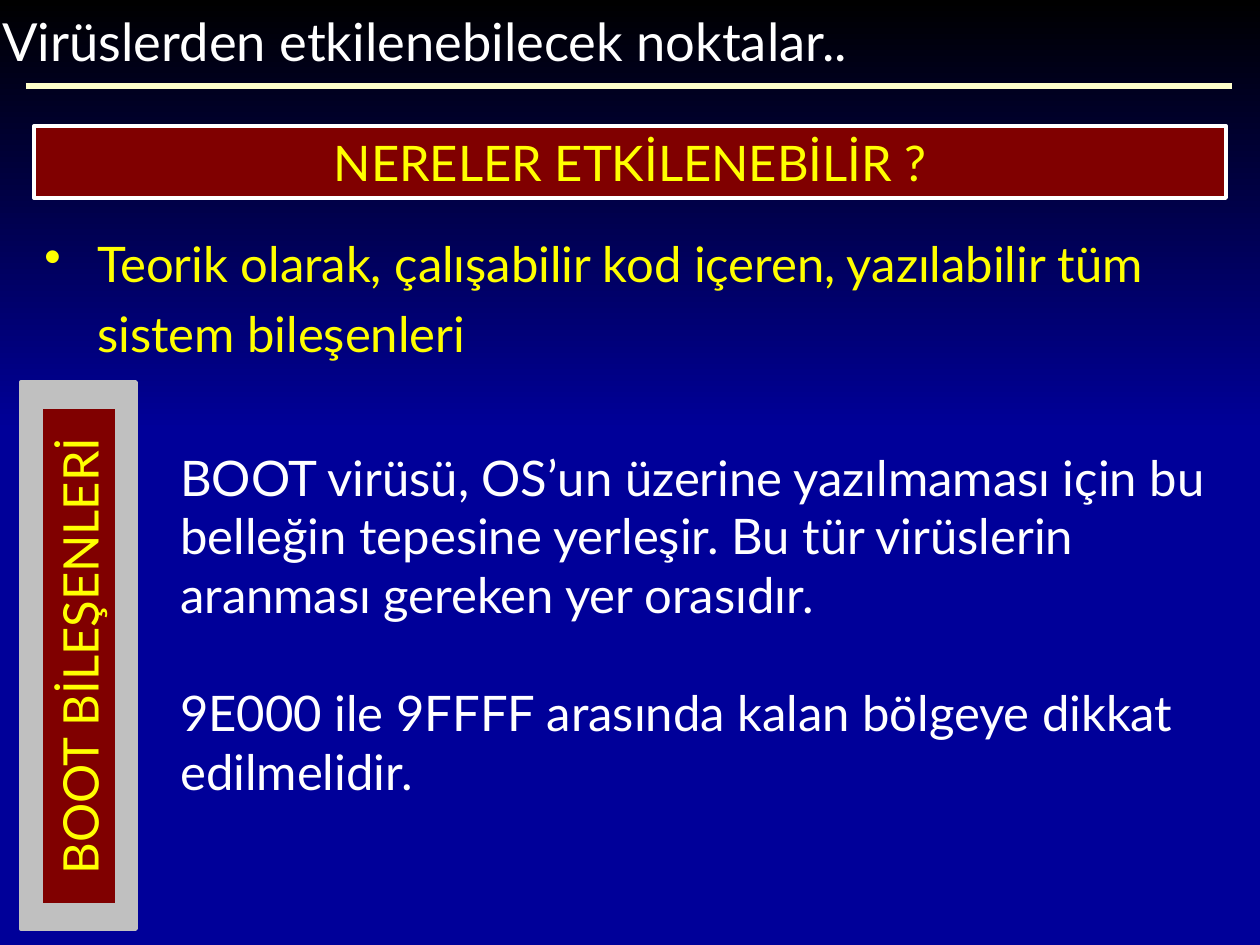
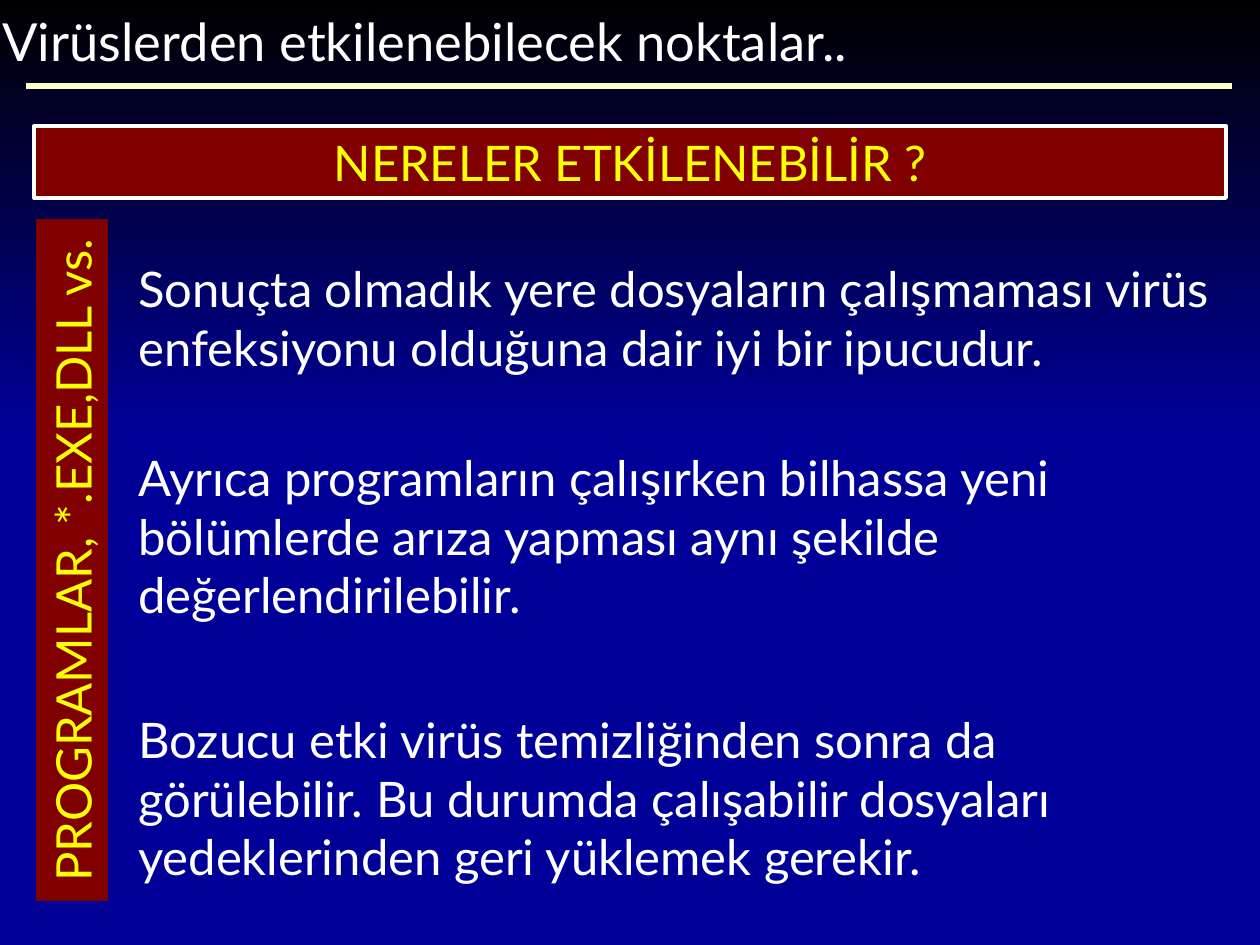
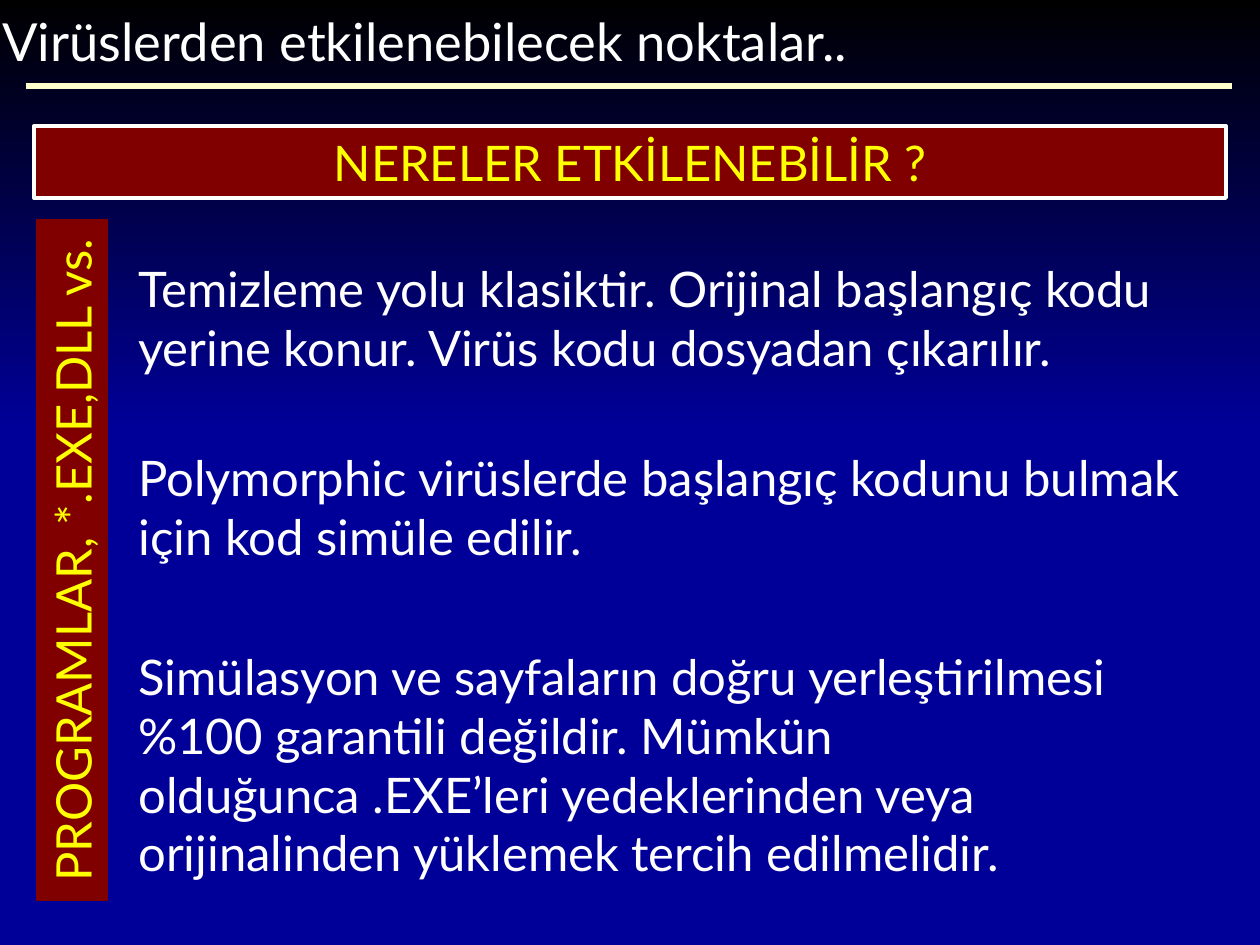
"""Build three slides on the parts of a system that viruses can reach."""
from dataclasses import dataclass
from lxml.etree import SubElement
from pptx import Presentation
from pptx.dml.color import RGBColor as Rgb
from pptx.enum.shapes import MSO_CONNECTOR as Link, MSO_SHAPE as Form
from pptx.enum.text import MSO_ANCHOR as Anchor, PP_ALIGN as Align
from pptx.oxml.ns import qn
from pptx.util import Pt

SCALE = 914400 / 126
WIDE, HIGH = 1260, 945


def px(num):
    return round(num * SCALE)


@dataclass(frozen=True)
class Theme:
    font: str = "Lato"
    back: str = "000099"
    dark: str = "000000"
    rule: str = "FFFFCC"
    red: str = "800000"
    gray: str = "C0C0C0"
    white: str = "FFFFFF"
    yellow: str = "FFFF00"
    head: int = 30
    body: int = 28
    edge: float = 2.25
    thick: int = 3


class Deck:
    def __init__(self, theme):
        self.theme = theme
        self.show = Presentation()
        self.show.slide_width, self.show.slide_height = px(WIDE), px(HIGH)
        self.slide = None

    def page(self):
        look = self.theme
        self.slide = self.show.slides.add_slide(self.show.slide_layouts[6])
        fill = self.slide.background.fill
        fill.solid()
        fill.fore_color.rgb = Rgb.from_string(look.back)
        self.fade(0, 0, WIDE, 431)
        self.rule(26, 1232, 86)
        self.text(-10, 3, 936, 76, ["Virüslerden etkilenebilecek noktalar.."], size=look.head)
        band = self.box(34, 126, 1192, 72, look.red, look.white)
        self.label(band, "NERELER ETKİLENEBİLİR ?")

    def box(self, x, y, w, h, fill=None, edge=None):
        shape = self.slide.shapes.add_shape(Form.RECTANGLE, px(x), px(y), px(w), px(h))
        shape.shadow.inherit = False
        if fill:
            shape.fill.solid()
            shape.fill.fore_color.rgb = Rgb.from_string(fill)
        if edge:
            shape.line.color.rgb = Rgb.from_string(edge)
            shape.line.width = Pt(self.theme.edge)
        else:
            shape.line.fill.background()
        return shape

    def fade(self, x, y, w, h):
        fill = self.box(x, y, w, h).fill
        fill.gradient()
        fill.gradient_angle = 270
        for stop, tone in zip(fill.gradient_stops, (self.theme.dark, self.theme.back)):
            stop.color.rgb = Rgb.from_string(tone)

    def rule(self, left, right, y):
        line = self.slide.shapes.add_connector(Link.STRAIGHT, px(left), px(y), px(right), px(y))
        line.line.color.rgb = Rgb.from_string(self.theme.rule)
        line.line.width = Pt(self.theme.thick)
        SubElement(line._element.spPr, qn("a:effectLst"))

    def style(self, para, tone, size):
        for run in para.runs:
            run.font.name = self.theme.font
            run.font.size = Pt(size)
            run.font.color.rgb = Rgb.from_string(tone)

    def label(self, shape, words):
        frame = shape.text_frame
        frame.text = words
        frame.word_wrap = True
        frame.vertical_anchor = Anchor.MIDDLE
        para = frame.paragraphs[0]
        para.alignment = Align.CENTER
        self.style(para, self.theme.yellow, self.theme.body)

    def side(self, x, y, w, h, words):
        shift = (h - w) / 2
        bar = self.box(x - shift, y + shift, h, w, self.theme.red)
        bar.rotation = 270
        self.label(bar, words)

    def text(self, x, y, w, h, lines, tone=None, size=None, gap=0):
        frame = self.slide.shapes.add_textbox(px(x), px(y), px(w), px(h)).text_frame
        frame.word_wrap = True
        frame.vertical_anchor = Anchor.MIDDLE
        frame.text = "\n".join(lines)
        for rank, para in enumerate(frame.paragraphs):
            if rank:
                para.space_before = Pt(gap)
            self.style(para, tone or self.theme.white, size or self.theme.body)
        return frame

    def bullet(self, x, y, w, h, words):
        tone = self.theme.yellow
        para = self.text(x, y, w, h, [words], tone).paragraphs[0]
        para.line_spacing = 1.2
        para.space_after = Pt(19.2)
        props = para._p.get_or_add_pPr()
        props.set("marL", str(px(53)))
        props.set("indent", str(px(-53)))
        SubElement(SubElement(props, qn("a:buClr")), qn("a:srgbClr"), val=tone)
        SubElement(props, qn("a:buChar"), char="•")


BOOT = (
    "BOOT virüsü, OS’un üzerine yazılmaması için bu belleğin tepesine yerleşir. "
    "Bu tür virüslerin aranması gereken yer orasıdır.",
    "9E000 ile 9FFFF arasında kalan bölgeye dikkat edilmelidir.",
)
FILES = (
    (
        (441, 189, "Ayrıca programların çalışırken bilhassa yeni bölümlerde arıza "
                   "yapması aynı şekilde değerlendirilebilir."),
        (223, 189, "Sonuçta olmadık yere dosyaların çalışmaması virüs enfeksiyonu "
                   "olduğuna dair iyi bir ipucudur."),
        (703, 189, "Bozucu etki virüs temizliğinden sonra da görülebilir. Bu durumda "
                   "çalışabilir dosyaları yedeklerinden geri yüklemek gerekir."),
    ),
    (
        (441, 131, "Polymorphic virüslerde başlangıç kodunu bulmak için kod simüle edilir."),
        (223, 189, "Temizleme yolu klasiktir. Orijinal başlangıç kodu yerine konur. "
                   "Virüs kodu dosyadan çıkarılır."),
        (640, 248, "Simülasyon ve sayfaların doğru yerleştirilmesi %100 garantili değildir. "
                   "Mümkün olduğunca .EXE’leri yedeklerinden veya orijinalinden yüklemek "
                   "tercih edilmelidir."),
    ),
)


def main():
    look = Theme()
    deck = Deck(look)
    deck.page()
    deck.box(21, 382, 115, 547, look.gray, look.gray)
    deck.bullet(32, 215, 1197, 154,
                "Teorik olarak, çalışabilir kod içeren, yazılabilir tüm sistem bileşenleri")
    deck.side(43, 409, 72, 494, "BOOT BİLEŞENLERİ")
    deck.text(168, 441, 1056, 365, BOOT, gap=33.6)
    for notes in FILES:
        deck.page()
        deck.side(36, 219, 72, 682, "PROGRAMLAR, *.EXE,DLL vs.")
        for y, h, words in notes:
            deck.text(126, y, 1103, h, [words])
    deck.show.save("out.pptx")


if __name__ == "__main__":
    main()
